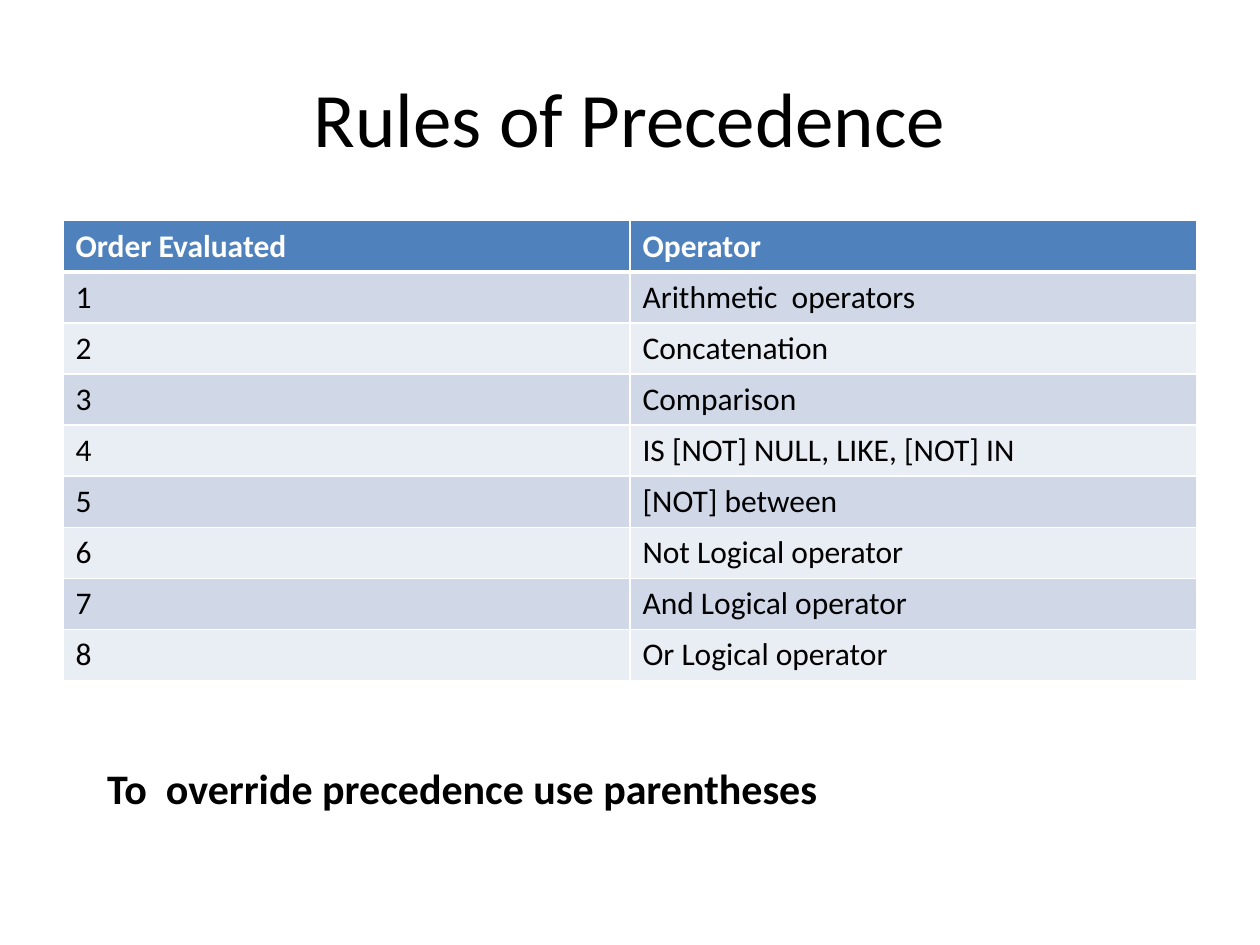
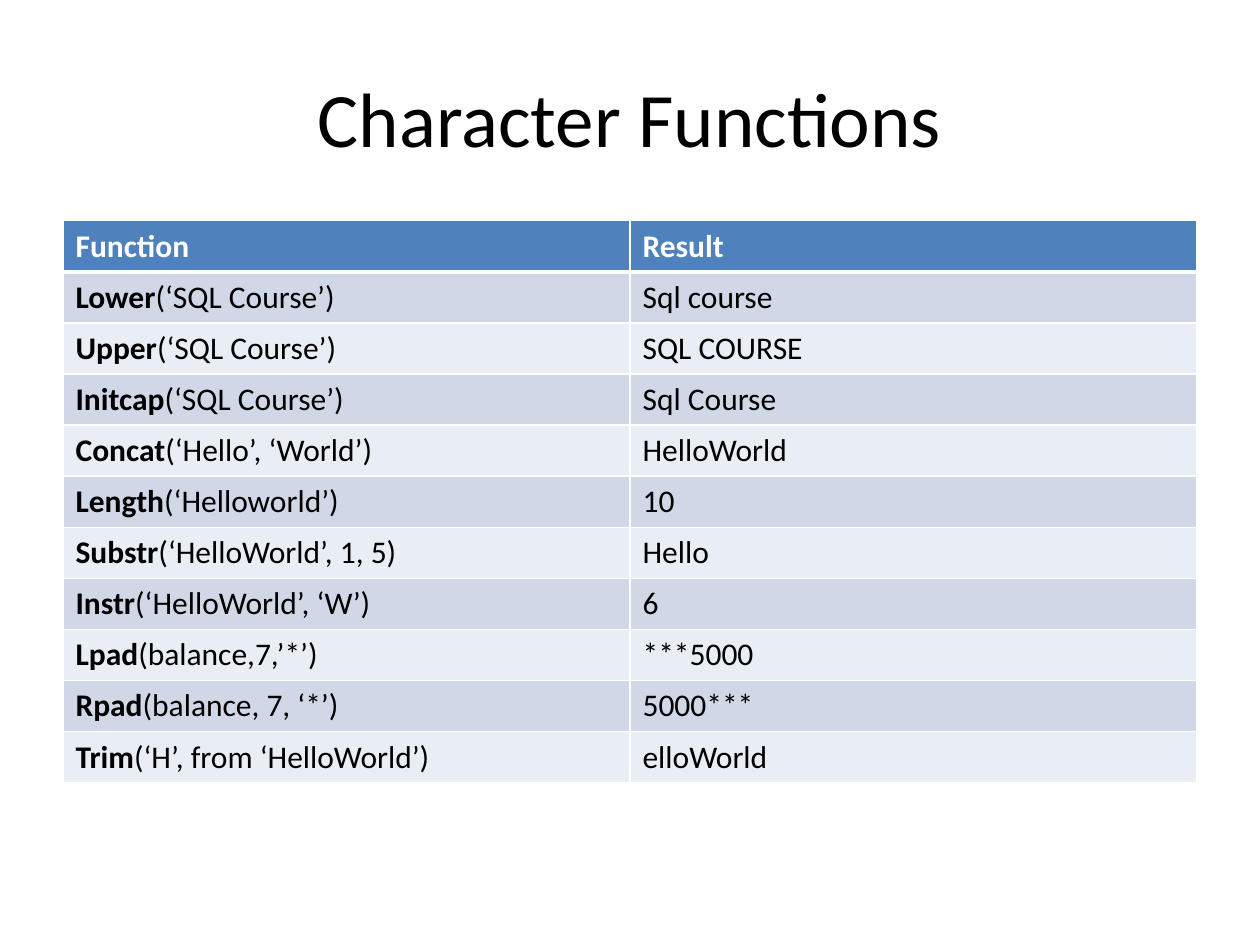
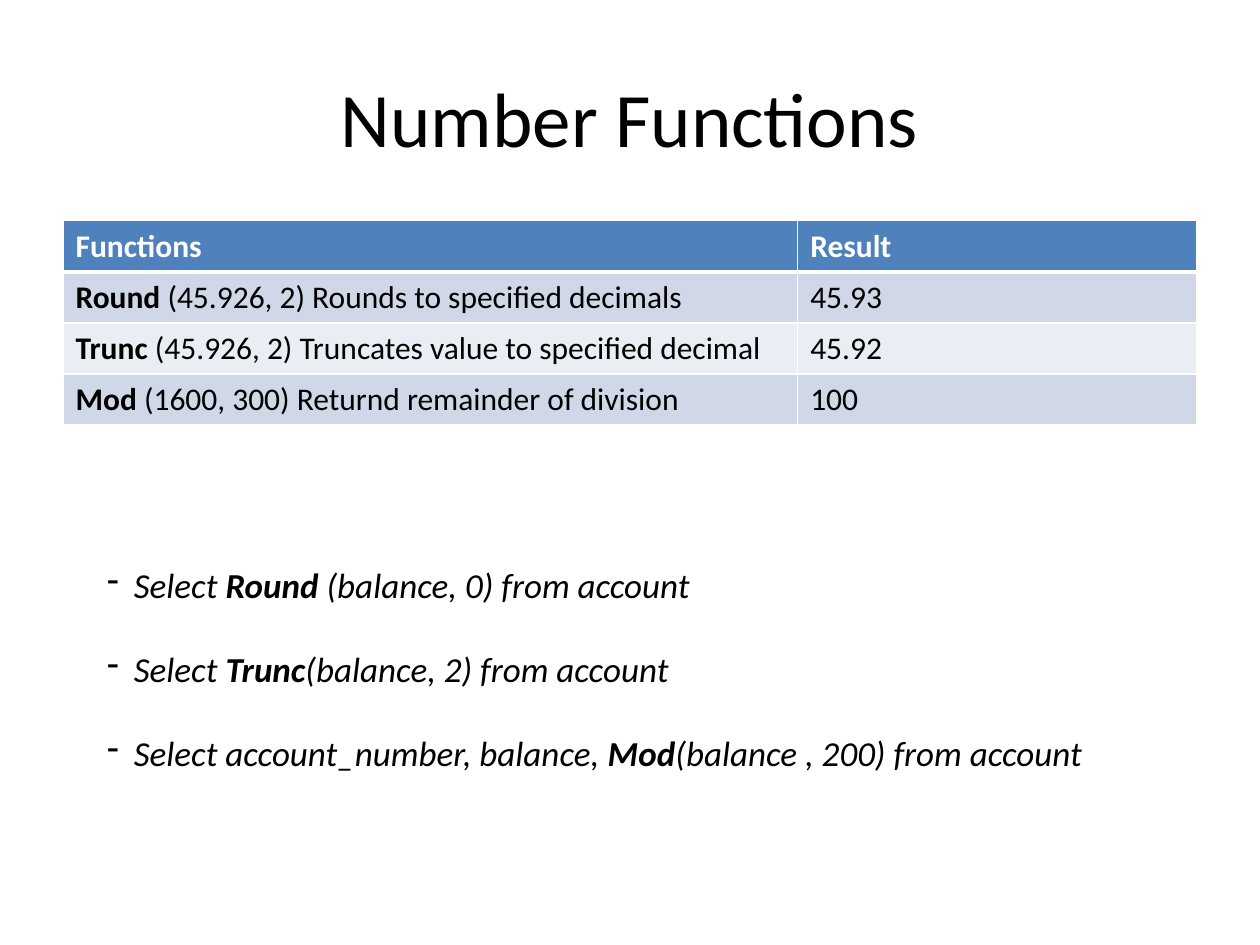
from lxml.etree import SubElement
from pptx import Presentation
from pptx.dml.color import RGBColor
from pptx.enum.text import MSO_ANCHOR as Anchor, PP_ALIGN as Align
from pptx.oxml.ns import qn
from pptx.util import Cm, Pt

COLORS = {
    "page": "FFFFFF",
    "text": "000000",
    "header": "4F81BD",
    "header_text": "FFFFFF",
    "odd_row": "D0D8E8",
    "even_row": "E9EDF4",
    "grid": "FFFFFF",
}
FONT = "Calibri"
MARGIN, CONTENT_WIDTH = 1.27, 22.86
TABLE_TOP, ROW_HEIGHT = 4.45, 1.03
NOTE_LEFT = 1.91
BULLET_INDENT = 0.54

TITLE = {"size": Pt(44)}
CELL = {"size": Pt(18), "bold": False}
STRONG_CELL = {"size": Pt(18), "bold": True}
NOTE = {"size": Pt(24), "bold": True}
QUERY = {"size": Pt(20), "italic": True, "bold": False}
STRONG_QUERY = {"size": Pt(20), "italic": True, "bold": True}

PRECEDENCE = [
    "Arithmetic  operators",
    "Concatenation",
    "Comparison",
    "IS [NOT] NULL, LIKE, [NOT] IN",
    "[NOT] between",
    "Not Logical operator",
    "And Logical operator",
    "Or Logical operator",
]
CHARACTER_FUNCTIONS = [
    ("Lower", "(‘SQL Course’)", "Sql course"),
    ("Upper", "(‘SQL Course’)", "SQL COURSE"),
    ("Initcap", "(‘SQL Course’)", "Sql Course"),
    ("Concat", "(‘Hello’, ‘World’)", "HelloWorld"),
    ("Length", "(‘Helloworld’)", "10"),
    ("Substr", "(‘HelloWorld’, 1, 5)", "Hello"),
    ("Instr", "(‘HelloWorld’, ‘W’)", "6"),
    ("Lpad", "(balance,7,’*’)", "***5000"),
    ("Rpad", "(balance, 7, ‘*’)", "5000***"),
    ("Trim", "(‘H’, from ‘HelloWorld’)", "elloWorld"),
]
NUMBER_FUNCTIONS = [
    ("Round", " (45.926, 2) Rounds to specified decimals", "45.93"),
    ("Trunc", " (45.926, 2) Truncates value to specified decimal", "45.92"),
    ("Mod", " (1600, 300) Returnd remainder of division", "100"),
]
QUERIES = [
    ("Select ", "Round", " (balance, 0) from account"),
    ("Select ", "Trunc", "(balance, 2) from account"),
    ("Select account_number, balance, ", "Mod", "(balance , 200) from account"),
]


def rgb(key):
    return RGBColor.from_string(COLORS[key])


def add_run(paragraph, text, style, color="text"):
    run = paragraph.add_run()
    run.text = text
    run.font.name = FONT
    run.font.color.rgb = rgb(color)
    for attribute, value in style.items():
        setattr(run.font, attribute, value)


def add_text_frame(slide, left, top, width, height):
    frame = slide.shapes.add_textbox(Cm(left), Cm(top), Cm(width), Cm(height)).text_frame
    frame.word_wrap = True
    return frame


def add_titled_slide(deck, title):
    slide = deck.slides.add_slide(deck.slide_layouts[6])
    slide.background.fill.solid()
    slide.background.fill.fore_color.rgb = rgb("page")
    frame = add_text_frame(slide, MARGIN, 0.76, CONTENT_WIDTH, 3.18)
    frame.vertical_anchor = Anchor.MIDDLE
    heading = frame.paragraphs[0]
    heading.alignment = Align.CENTER
    add_run(heading, title, TITLE)
    return slide


def set_borders(cell, top, bottom):
    properties = cell._tc.get_or_add_tcPr()
    for side, points in {"lnL": 1, "lnR": 1, "lnT": top, "lnB": bottom}.items():
        line = SubElement(properties, qn(f"a:{side}"), w=str(Pt(points)))
        fill = SubElement(line, qn("a:solidFill"))
        SubElement(fill, qn("a:srgbClr"), val=COLORS["grid"])


def fill_cell(cell, runs, row):
    set_borders(cell, top=3 if row == 1 else 1, bottom=3 if row == 0 else 1)
    band = "header" if row == 0 else ("even_row", "odd_row")[row % 2]
    cell.fill.solid()
    cell.fill.fore_color.rgb = rgb(band)
    for text, style in runs:
        add_run(cell.text_frame.paragraphs[0], text, style,
                "text" if row else "header_text")


def add_grid(slide, headings, body, first_width=CONTENT_WIDTH / 2):
    rows = [[[(heading, STRONG_CELL)] for heading in headings]] + body
    table = slide.shapes.add_table(
        len(rows), len(headings), Cm(MARGIN), Cm(TABLE_TOP),
        Cm(CONTENT_WIDTH), Cm(ROW_HEIGHT * len(rows))).table
    for column, width in zip(table.columns, (first_width, CONTENT_WIDTH - first_width)):
        column.width = Cm(width)
    for index, cells in enumerate(rows):
        table.rows[index].height = Cm(ROW_HEIGHT)
        for column, runs in enumerate(cells):
            fill_cell(table.cell(index, column), runs, index)


def function_rows(functions):
    return [[[(name, STRONG_CELL), (usage, CELL)], [(result, CELL)]]
            for name, usage, result in functions]


def add_dash(paragraph):
    properties = paragraph._p.get_or_add_pPr()
    properties.set("marL", str(Cm(BULLET_INDENT)))
    properties.set("indent", str(-Cm(BULLET_INDENT)))
    SubElement(properties, qn("a:buChar"), char="-")


def add_queries(slide):
    frame = add_text_frame(slide, NOTE_LEFT, 11.23, 20.75, 5.38)
    for index, (before, function, after) in enumerate(QUERIES):
        query = frame.add_paragraph() if index else frame.paragraphs[0]
        if index:
            query.space_before = Pt(24)
        add_dash(query)
        add_run(query, before, QUERY)
        add_run(query, function, STRONG_QUERY)
        add_run(query, after, QUERY)


def main():
    deck = Presentation()
    deck.slide_width, deck.slide_height = Cm(25.4), Cm(19.05)

    precedence = add_titled_slide(deck, "Rules of Precedence")
    add_grid(precedence, ("Order Evaluated", "Operator"),
             [[[(str(order), CELL)], [(operator, CELL)]]
              for order, operator in enumerate(PRECEDENCE, 1)])
    note = add_text_frame(precedence, NOTE_LEFT, 15.24, 18.85, 1.27)
    add_run(note.paragraphs[0], "To  override precedence use parentheses", NOTE)

    characters = add_titled_slide(deck, "Character Functions")
    add_grid(characters, ("Function", "Result"), function_rows(CHARACTER_FUNCTIONS))

    numbers = add_titled_slide(deck, "Number Functions")
    add_grid(numbers, ("Functions", "Result"), function_rows(NUMBER_FUNCTIONS), 14.81)
    add_queries(numbers)

    deck.save("out.pptx")


main()
